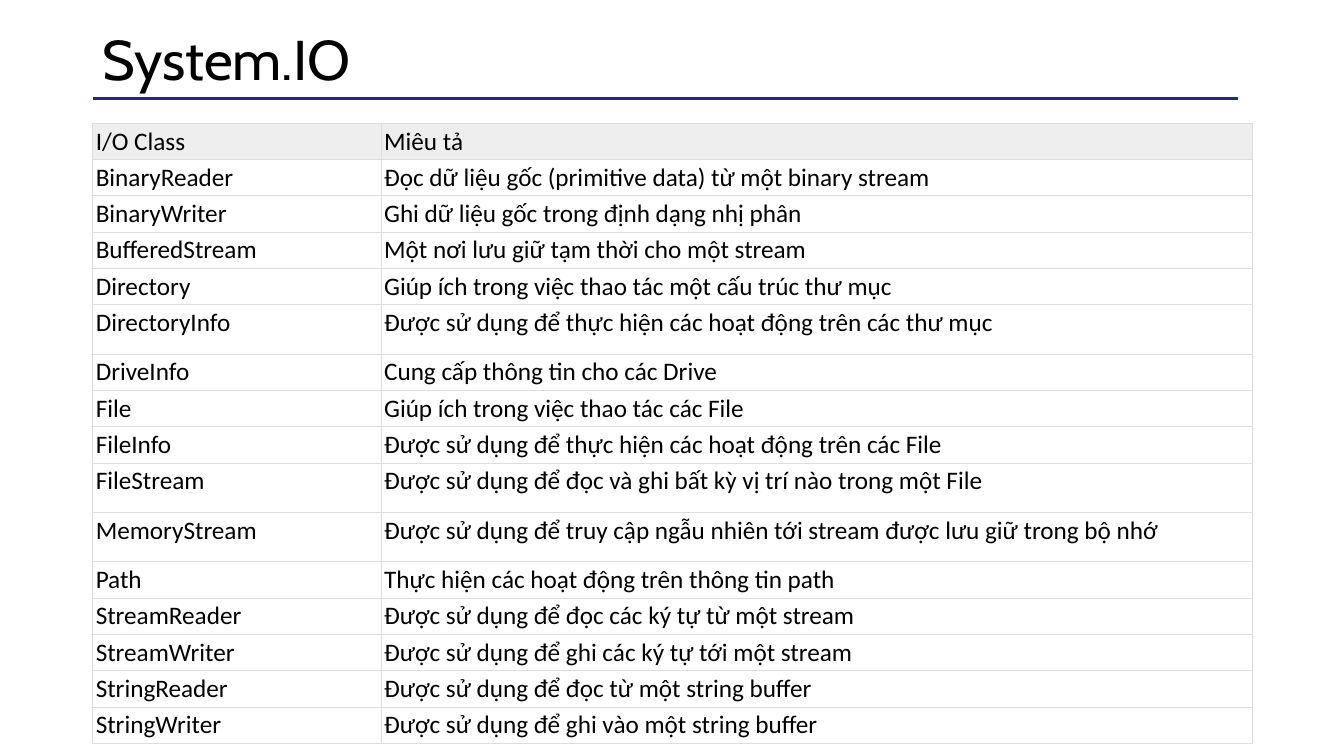
from lxml import etree
from pptx import Presentation
from pptx.dml.color import RGBColor
from pptx.enum.shapes import MSO_CONNECTOR
from pptx.enum.text import MSO_ANCHOR
from pptx.oxml.ns import qn
from pptx.util import Inches, Pt

STRAIGHT = MSO_CONNECTOR.STRAIGHT
MIDDLE = MSO_ANCHOR.MIDDLE

# Content: class, description
TITLE = "System.IO"
HEAD = ("I/O Class", "Miêu tả")
CLASSES = [
    ("BinaryReader", "Đọc dữ liệu gốc (primitive data) từ một binary stream"),
    ("BinaryWriter", "Ghi dữ liệu gốc trong định dạng nhị phân"),
    ("BufferedStream", "Một nơi lưu giữ tạm thời cho một stream"),
    ("Directory", "Giúp ích trong việc thao tác một cấu trúc thư mục"),
    ("DirectoryInfo", "Được sử dụng để thực hiện các hoạt động trên các thư mục"),
    ("DriveInfo", "Cung cấp thông tin cho các Drive"),
    ("File", "Giúp ích trong việc thao tác các File"),
    ("FileInfo", "Được sử dụng để thực hiện các hoạt động trên các File"),
    ("FileStream", "Được sử dụng để đọc và ghi bất kỳ vị trí nào trong một File"),
    ("MemoryStream",
     "Được sử dụng để truy cập ngẫu nhiên tới stream được lưu giữ trong bộ nhớ"),
    ("Path", "Thực hiện các hoạt động trên thông tin path"),
    ("StreamReader", "Được sử dụng để đọc các ký tự từ một stream"),
    ("StreamWriter", "Được sử dụng để ghi các ký tự tới một stream"),
    ("StringReader", "Được sử dụng để đọc từ một string buffer"),
    ("StringWriter", "Được sử dụng để ghi vào một string buffer"),
]
TALL = {"DirectoryInfo", "FileStream", "MemoryStream"}


class Theme:
    ink = RGBColor.from_string("000000")
    rule = RGBColor.from_string("272780")
    head = RGBColor.from_string("EEEEEE")
    grid = "DDDDDD"
    title_font, title_size = "Cabin", Pt(40)
    body_font, body_size = "Calibri", Pt(18)
    rule_width, grid_width = Pt(2), Pt(0.5)


# Layout
LEFT, WIDTH = Inches(0.92), Inches(11.5)
COLS = (Inches(2.86), Inches(8.64))
ROW, TALL_ROW = Inches(0.34), Inches(0.49)
PAD = Inches(0.03)


def add_run(para, text, font, size):
    run = para.add_run()
    run.text = text
    run.font.name, run.font.size = font, size
    run.font.bold = False
    run.font.color.rgb = Theme.ink


def add_grid(cell):
    props = cell._tc.get_or_add_tcPr()
    for side in ("lnL", "lnR", "lnT", "lnB"):
        line = etree.SubElement(props, qn("a:" + side), w=str(Theme.grid_width))
        fill = etree.SubElement(line, qn("a:solidFill"))
        etree.SubElement(fill, qn("a:srgbClr"), val=Theme.grid)


deck = Presentation()
deck.slide_width, deck.slide_height = Inches(13.33), Inches(7.5)
slide = deck.slides.add_slide(deck.slide_layouts[6])

# Rule under the title
rule_y = Inches(0.98)
rule = slide.shapes.add_connector(STRAIGHT, Inches(12.28), rule_y, LEFT, rule_y)
rule.line.color.rgb = Theme.rule
rule.line.width = Theme.rule_width
etree.SubElement(rule._element.spPr, qn("a:effectLst"))

# Title
box = slide.shapes.add_textbox(LEFT, Inches(0.17), WIDTH, Inches(0.89))
frame = box.text_frame
frame.word_wrap = True
frame.vertical_anchor = MIDDLE
frame.paragraphs[0].line_spacing = 0.9
add_run(frame.paragraphs[0], TITLE, Theme.title_font, Theme.title_size)

# Class table
rows = [HEAD] + CLASSES
highs = [TALL_ROW if name in TALL else ROW for name, _ in rows]
table = slide.shapes.add_table(
    len(rows), len(COLS), LEFT, Inches(1.22), WIDTH, sum(highs)).table
table.first_row = table.horz_banding = False
for col, width in zip(table.columns, COLS):
    col.width = width
for r, (row, high) in enumerate(zip(rows, highs)):
    table.rows[r].height = high
    for c, text in enumerate(row):
        cell = table.cell(r, c)
        cell.margin_left = cell.margin_right = PAD
        cell.margin_top = cell.margin_bottom = PAD
        add_grid(cell)
        if r == 0:
            cell.fill.solid()
            cell.fill.fore_color.rgb = Theme.head
        else:
            cell.fill.background()
        add_run(cell.text_frame.paragraphs[0], text,
                Theme.body_font, Theme.body_size)

deck.save("out.pptx")
